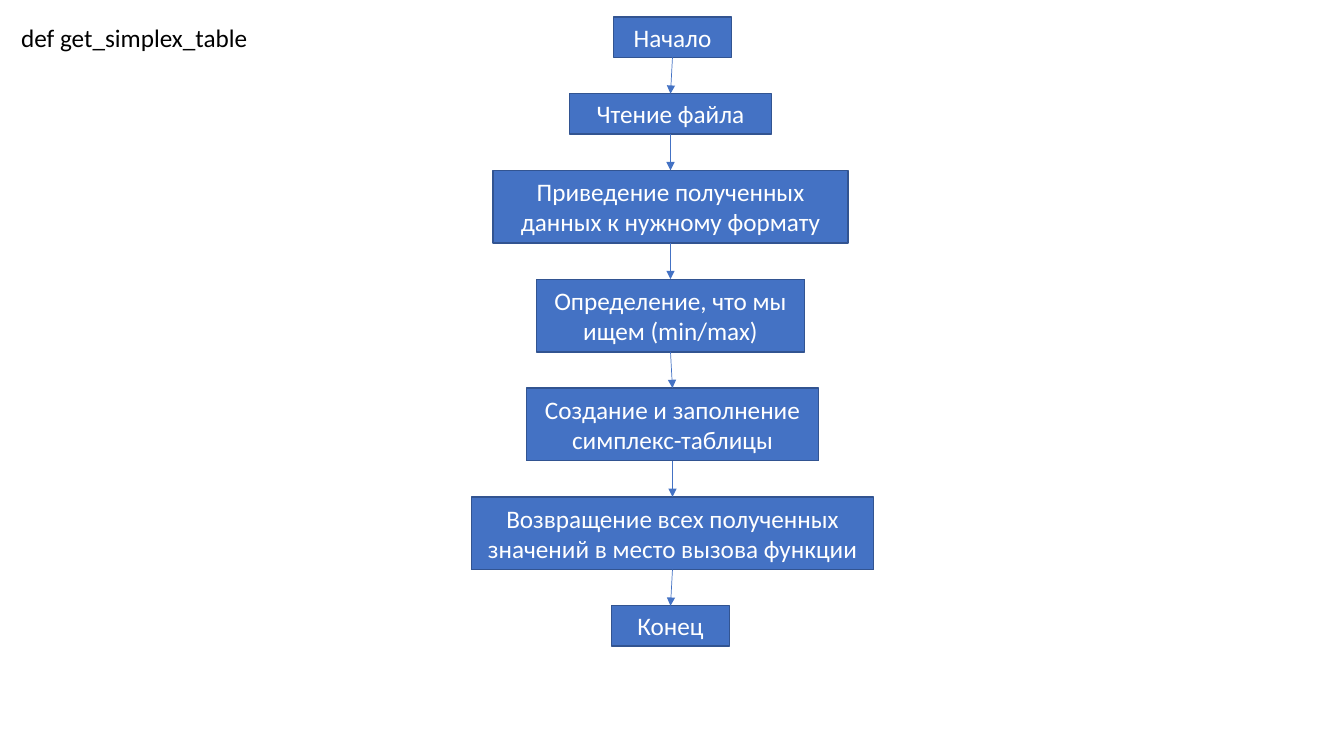
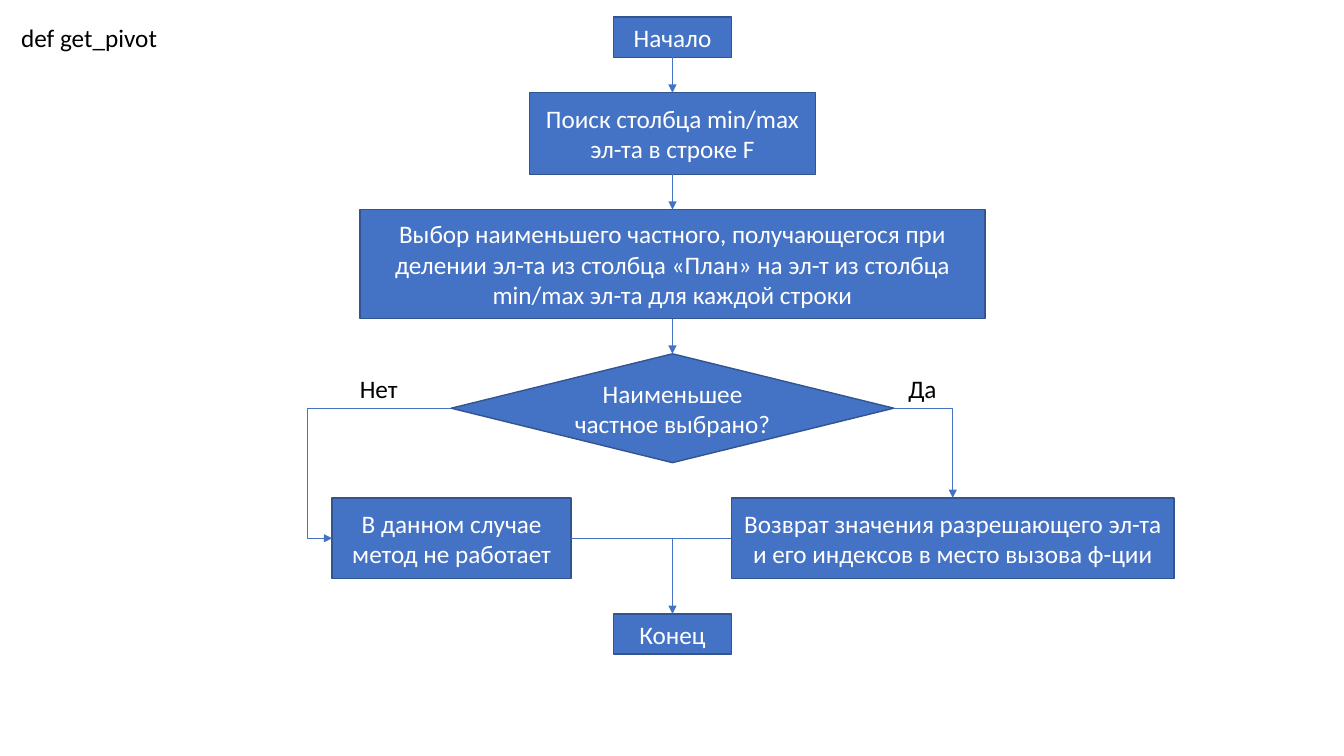
from dataclasses import dataclass

from lxml.etree import SubElement
from pptx import Presentation
from pptx.dml.color import RGBColor
from pptx.enum.shapes import MSO_CONNECTOR, MSO_SHAPE
from pptx.enum.text import MSO_ANCHOR, MSO_AUTO_SIZE, PP_ALIGN
from pptx.oxml.ns import qn
from pptx.util import Inches, Pt

# Connection sites of rectangles and diamonds
TOP, LEFT, BOTTOM, RIGHT = range(4)


@dataclass(frozen=True)
class Theme:
    font: str = "Calibri"
    size: float = 18
    text: RGBColor = RGBColor(0x00, 0x00, 0x00)
    box_text: RGBColor = RGBColor(0xFF, 0xFF, 0xFF)
    fill: RGBColor = RGBColor(0x44, 0x72, 0xC4)
    outline: RGBColor = RGBColor(0x32, 0x54, 0x91)
    outline_width: float = 1
    arrow_width: float = 0.5
    first_top: float = 0.17
    row: float = 0.4
    terminal_width: float = 1.17


class FlowchartDeck:
    def __init__(self, theme):
        self.theme = theme
        self.presentation = Presentation()
        self.presentation.slide_width = Inches(13.33)
        self.presentation.slide_height = Inches(7.5)
        self.slide = None

    def new_slide(self, title, title_width):
        layout = self.presentation.slide_layouts.get_by_name("Title Only")
        self.slide = self.presentation.slides.add_slide(layout)
        shape = self.slide.shapes.title
        shape.left, shape.top = Inches(0.11), Inches(self.theme.first_top)
        shape.width, shape.height = Inches(title_width), Inches(self.theme.row)
        self.add_text(shape, title, self.theme.text, PP_ALIGN.LEFT, MSO_ANCHOR.TOP)

    def add_text(self, shape, text, color, alignment, anchor, wrap=True):
        frame = shape.text_frame
        frame.word_wrap = wrap
        frame.auto_size = MSO_AUTO_SIZE.NONE
        frame.vertical_anchor = anchor
        paragraph = frame.paragraphs[0]
        paragraph.alignment = alignment
        run = paragraph.add_run()
        run.text = text
        run.font.name = self.theme.font
        run.font.size = Pt(self.theme.size)
        run.font.color.rgb = color

    def label(self, text, left, top, width):
        shape = self.slide.shapes.add_textbox(
            Inches(left), Inches(top), Inches(width), Inches(self.theme.row))
        self.add_text(shape, text, self.theme.text, PP_ALIGN.LEFT, MSO_ANCHOR.TOP, wrap=False)

    def box(self, text, center, top, width, height, kind=MSO_SHAPE.FLOWCHART_PROCESS):
        shape = self.slide.shapes.add_shape(
            kind, Inches(center - width / 2), Inches(top), Inches(width), Inches(height))
        shape.shadow.inherit = False
        shape.fill.solid()
        shape.fill.fore_color.rgb = self.theme.fill
        shape.line.color.rgb = self.theme.outline
        shape.line.width = Pt(self.theme.outline_width)
        self.add_text(shape, text, self.theme.box_text, PP_ALIGN.CENTER, MSO_ANCHOR.MIDDLE)
        return shape

    def terminal(self, text, center, top):
        return self.box(text, center, top, self.theme.terminal_width, self.theme.row)

    def column(self, steps, gap):
        """Stack the steps with equal gaps, join them, return the boxes and the next top."""
        top = self.theme.first_top
        boxes = []
        for text, center, width, height, *kind in steps:
            boxes.append(self.box(text, center, top, width, height, *kind))
            top += height + gap
        for upper, lower in zip(boxes, boxes[1:]):
            self.arrow(upper, BOTTOM, lower, TOP)
        return boxes, top

    @staticmethod
    def site(shape, side):
        middle_x = shape.left + shape.width // 2
        middle_y = shape.top + shape.height // 2
        return {
            TOP: (middle_x, shape.top),
            LEFT: (shape.left, middle_y),
            BOTTOM: (middle_x, shape.top + shape.height),
            RIGHT: (shape.left + shape.width, middle_y),
        }[side]

    def connector(self, start, end, kind=MSO_CONNECTOR.STRAIGHT, head=True):
        connector = self.slide.shapes.add_connector(kind, *start, *end)
        connector.line.color.rgb = self.theme.fill
        connector.line.width = Pt(self.theme.arrow_width)
        properties = connector._element.spPr
        if head:
            SubElement(properties.find(qn("a:ln")), qn("a:tailEnd"), type="triangle")
        SubElement(properties, qn("a:effectLst"))
        return connector

    def arrow(self, source, source_side, target, target_side, preset=None, bend=None):
        """Join two boxes; preset names a bent outline, bend places its middle leg."""
        kind = MSO_CONNECTOR.ELBOW if preset else MSO_CONNECTOR.STRAIGHT
        connector = self.connector(
            self.site(source, source_side), self.site(target, target_side), kind)
        connector.begin_connect(source, source_side)
        connector.end_connect(target, target_side)
        if preset:
            geometry = connector._element.spPr.find(qn("a:prstGeom"))
            geometry.set("prst", preset)
            if bend is not None:
                SubElement(geometry.find(qn("a:avLst")), qn("a:gd"),
                           name="adj1", fmla=f"val {round(bend * 100000)}")


theme = Theme()
deck = FlowchartDeck(theme)
terminal_size = (theme.terminal_width, theme.row)
axis = 6.67
inner_axis = 6.65

# Slide 1: building the simplex table
deck.new_slide("def get_simplex_table", 2.55)
deck.column([
    ("Начало", axis, *terminal_size),
    ("Чтение файла", inner_axis, 2, theme.row),
    ("Приведение полученных данных к нужному формату", inner_axis, 3.52, 0.72),
    ("Определение, что мы ищем (min/max)", inner_axis, 2.66, 0.72),
    ("Создание и заполнение симплекс-таблицы", axis, 2.9, 0.72),
    ("Возвращение всех полученных значений в место вызова функции", axis, 3.99, 0.72),
    ("Конец", inner_axis, *terminal_size),
], gap=0.36)

# Slide 2: finding the pivot
deck.new_slide("def get_pivot", 1.6)
gap = 0.35
boxes, branch_top = deck.column([
    ("Начало", axis, *terminal_size),
    ("Поиск столбца min/max эл-та в строке F", axis, 2.84, 0.81),
    ("Выбор наименьшего частного, получающегося при делении эл-та из столбца "
     "«План» на эл-т из столбца min/max эл-та для каждой строки", axis, 6.2, 1.08),
    ("Наименьшее частное выбрано?", axis, 4.39, 1.08, MSO_SHAPE.FLOWCHART_DECISION),
], gap)
decision = boxes[-1]

# Branches and their labels
branch_height = 0.8
failure = deck.box("В данном случае метод не работает",
                   4.48, branch_top, 2.37, branch_height)
result = deck.box("Возврат значения разрешающего эл-та и его индексов в место вызова ф-ции",
                  9.45, branch_top, 4.39, branch_height)
finish = deck.terminal("Конец", axis, branch_top + branch_height + gap)
deck.arrow(decision, LEFT, failure, LEFT, "bentConnector3", bend=1.21)
deck.arrow(decision, RIGHT, result, TOP, "bentConnector2")
deck.label("Нет", 3.47, 3.65, 0.58)
deck.label("Да", 8.91, 3.65, 0.49)

# Both branches meet above the end
deck.arrow(failure, RIGHT, finish, TOP, "bentConnector2")
result_left = deck.site(result, LEFT)
deck.connector(result_left, (Inches(axis), result_left[1]), head=False)

deck.presentation.save("out.pptx")
